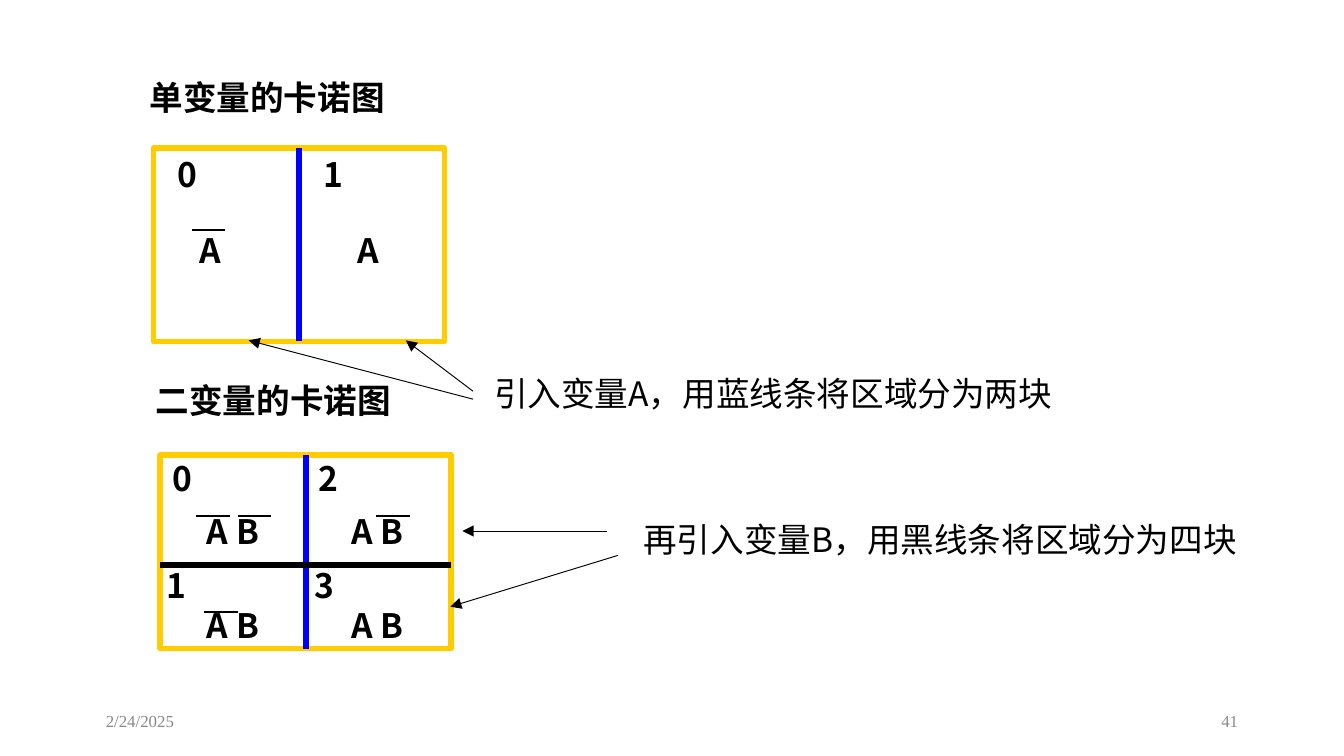
from lxml.etree import SubElement
from pptx import Presentation
from pptx.dml.color import RGBColor
from pptx.enum.shapes import MSO_CONNECTOR as Connector, MSO_SHAPE as Shape
from pptx.enum.text import MSO_ANCHOR as Anchor, MSO_AUTO_SIZE as AutoSize, PP_ALIGN as Align
from pptx.oxml.ns import qn
from pptx.util import Cm, Pt

COLORS = {"black": "000000", "white": "FFFFFF", "frame": "FFCC00",
          "variable_a": "0000FF", "footer": "898989"}
SANS, SERIF = "Noto Sans CJK SC", "Times New Roman"
HEADING = {"size": Pt(18), "bold": True, "name": SANS}
NOTE = {"size": Pt(18), "bold": False, "name": SANS}
FOOTER = {"size": Pt(9), "bold": False, "name": SERIF}

# Lengths are in centimetres: boxes are left, top, width, height.
HEADINGS = [("单变量的卡诺图", (2.57, 1.42, 13.13, 1.32)),
            ("二变量的卡诺图", (2.69, 7.14, 21.59, 1.27))]
MAP_SIZE = (5.5, 3.65)
MAP_CORNERS = [(2.9, 2.8), (3.03, 8.6)]
VARIABLE_B_LINE = ((3.03, 10.67), (8.52, 10.67))
NUMBER_WIDTH, TERM_WIDTH, LABEL_HEIGHT = 1.47, 1.9, 1.02

# Texts from left to right, first left, top, step to the next column, width
LABEL_ROWS = [
    (("0", "1"), 3.1, 2.79, 2.77, NUMBER_WIDTH),
    (("A", "A"), 3.53, 4.22, 2.97, TERM_WIDTH),
    (("0", "2"), 3.02, 8.53, 2.75, NUMBER_WIDTH),
    (("A B", "A B"), 3.66, 9.53, 2.74, TERM_WIDTH),
    (("1", "3"), 2.9, 10.55, 2.79, NUMBER_WIDTH),
    (("A B", "A B"), 3.66, 11.3, 2.74, TERM_WIDTH),
]
OVERBAR_LENGTH = 0.63
OVERBARS = [(3.63, 4.34, 1), (3.71, 9.75, 0.75), (4.5, 9.75, 0.75),
            (7.11, 9.75, 0.75), (3.86, 11.56, 0.75)]  # left, top, points
NOTES = [("引入变量A，用蓝线条将区域分为两块", (9.09, 6.91, 11.86, 1.02)),
         ("再引入变量B，用黑线条将区域分为四块", (11.91, 9.68, 12.7, 1.02))]
ARROWS = [((8.94, 7.39), (7.67, 6.43)), ((8.94, 7.54), (4.7, 6.43)),
          ((11.48, 10.03), (8.74, 10.03)), ((11.68, 10.49), (8.51, 11.46))]
FOOTERS = [("2/24/2025", (1.75, 13.23, 5.72, 0.76), Align.LEFT),
           ("41", (17.93, 13.23, 5.72, 0.76), Align.RIGHT)]


def color(name):
    return RGBColor.from_string(COLORS[name])


def write(shape, text, font_format, font_color="black", align=Align.LEFT,
          anchor=Anchor.TOP, line_spacing=1.0):
    frame = shape.text_frame
    frame.word_wrap = True
    frame.auto_size = AutoSize.NONE
    frame.vertical_anchor = anchor
    paragraph = frame.paragraphs[0]
    paragraph.alignment = align
    paragraph.line_spacing = line_spacing
    paragraph.space_before = Pt(0)
    run = paragraph.add_run()
    run.text = text
    for attribute, value in font_format.items():
        setattr(run.font, attribute, value)
    run.font.color.rgb = color(font_color)
    SubElement(run.font._element, qn("a:ea"), typeface=font_format["name"])
    return paragraph


def add_text(slide, box, text, font_format, **options):
    write(slide.shapes.add_textbox(*map(Cm, box)), text, font_format, **options)


def add_line(slide, start, end, width, line_color="black", arrow=False):
    line = slide.shapes.add_connector(Connector.STRAIGHT, *map(Cm, start + end))
    line.line.width = Pt(width)
    line.line.color.rgb = color(line_color)
    if arrow:
        SubElement(line.line._get_or_add_ln(), qn("a:tailEnd"), type="triangle")
    SubElement(line._element.spPr, qn("a:effectLst"))
    return line


def add_map(slide, corner):
    """Draw a frame split into two halves by the line of variable A."""
    frame = slide.shapes.add_shape(Shape.RECTANGLE, *map(Cm, corner + MAP_SIZE))
    frame.shadow.inherit = False
    frame.fill.solid()
    frame.fill.fore_color.rgb = color("white")
    frame.line.color.rgb = color("frame")
    frame.line.width = Pt(3)
    divider = add_line(slide, corner, corner, 3, "variable_a")
    divider.begin_connect(frame, 0)
    divider.end_connect(frame, 2)


def main():
    presentation = Presentation()
    presentation.slide_width, presentation.slide_height = Cm(25.4), Cm(14.28)
    slide = presentation.slides.add_slide(presentation.slide_layouts[1])

    for placeholder, (text, box) in zip(slide.placeholders, HEADINGS):
        for side, length in zip(("left", "top", "width", "height"), box):
            setattr(placeholder, side, Cm(length))
        paragraph = write(placeholder, text, HEADING, line_spacing=0.9)
        properties = paragraph._p.get_or_add_pPr()
        properties.set("marL", "0")
        properties.set("indent", "0")
        SubElement(properties, qn("a:buNone"))

    for corner in MAP_CORNERS:
        add_map(slide, corner)
    add_line(slide, *VARIABLE_B_LINE, 3)

    for texts, left, top, step, width in LABEL_ROWS:
        for column, text in enumerate(texts):
            box = (left + column * step, top, width, LABEL_HEIGHT)
            add_text(slide, box, text, HEADING)
    for left, top, width in OVERBARS:
        add_line(slide, (left, top), (left + OVERBAR_LENGTH, top), width)

    for text, box in NOTES:
        add_text(slide, box, text, NOTE)
    for start, end in ARROWS:
        add_line(slide, start, end, 0.5, arrow=True)
    for text, box, align in FOOTERS:
        add_text(slide, box, text, FOOTER, font_color="footer", align=align,
                 anchor=Anchor.MIDDLE)
    presentation.save("out.pptx")


if __name__ == "__main__":
    main()
